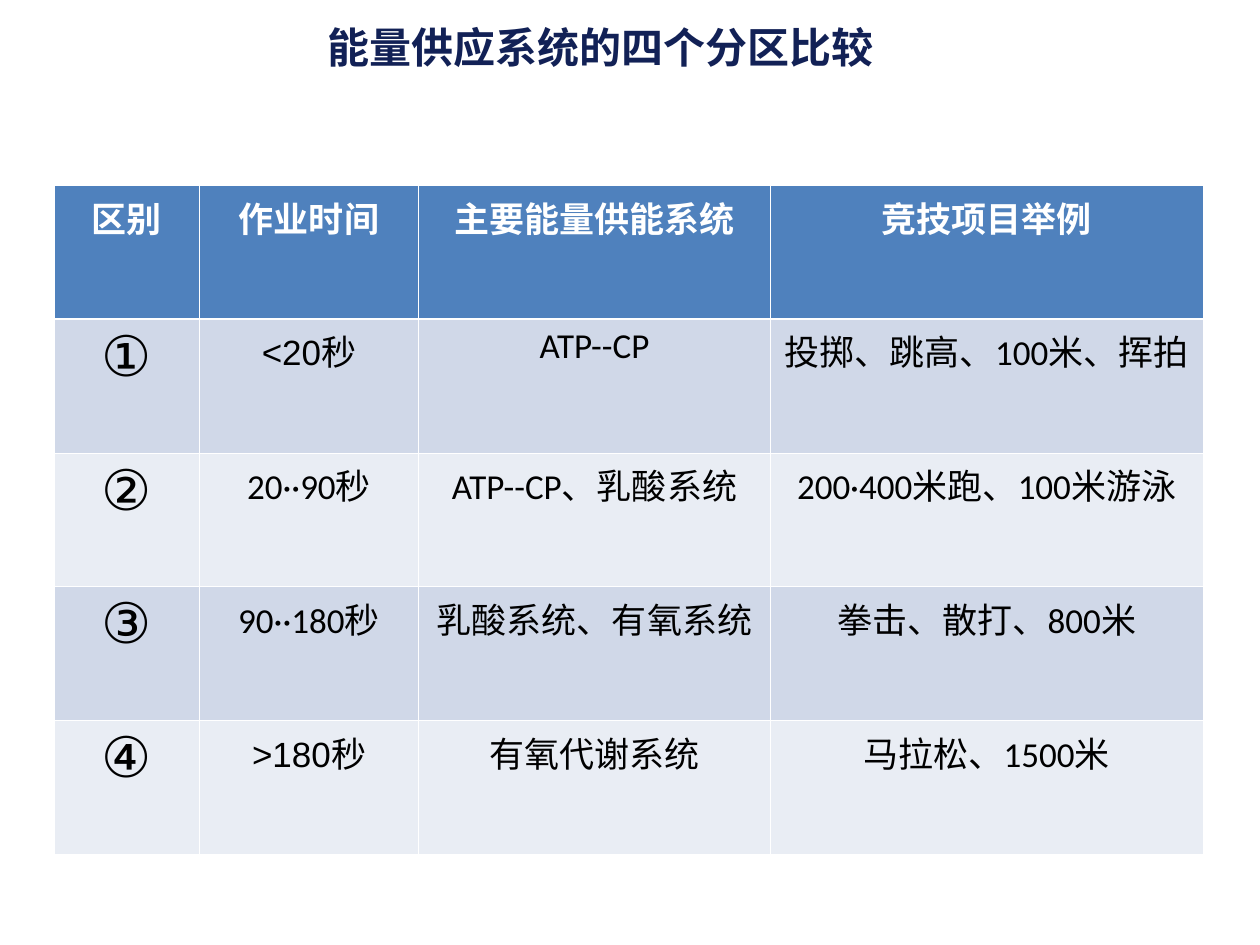
"""Build a slide that compares the four zones of energy supply."""
from dataclasses import dataclass

from lxml import etree
from pptx import Presentation
from pptx.dml.color import RGBColor
from pptx.enum.text import MSO_ANCHOR, MSO_AUTO_SIZE, PP_ALIGN
from pptx.oxml.ns import qn
from pptx.util import Cm, Pt

MIDDLE, TOP = MSO_ANCHOR.MIDDLE, MSO_ANCHOR.TOP
CENTER = PP_ALIGN.CENTER
NO_FIT = MSO_AUTO_SIZE.NONE

NAVY = RGBColor(0x12, 0x21, 0x56)
BLUE = RGBColor(0x4F, 0x81, 0xBD)
BAND = RGBColor(0xD0, 0xD8, 0xE8)
PALE = RGBColor(0xE9, 0xED, 0xF4)
WHITE = RGBColor(0xFF, 0xFF, 0xFF)
BLACK = RGBColor(0, 0, 0)

ARIAL, LATIN, HAN = "Arial", "Calibri", "Noto Sans CJK SC"
THIN, THICK = Pt(0.45), Pt(1.47)
ROW = Cm(2.7)


@dataclass
class Column:
    head: str
    width: float


@dataclass
class Zone:
    mark: str
    time: str
    system: str
    sports: str
    font: str = LATIN


COLUMNS = [
    Column("区别", 2.92),
    Column("作业时间", 4.42),
    Column("主要能量供能系统", 7.09),
    Column("竞技项目举例", 8.72),
]
ZONES = [
    Zone("①", "<20秒", "ATP--CP", "投掷、跳高、100米、挥拍", ARIAL),
    Zone("②", "20··90秒", "ATP--CP、乳酸系统", "200·400米跑、100米游泳"),
    Zone("③", "90··180秒", "乳酸系统、有氧系统", "拳击、散打、800米"),
    Zone("④", ">180秒", "有氧代谢系统", "马拉松、1500米", ARIAL),
]


def write(frame, text: str, *, size: float = 20, font: str = LATIN,
          color: RGBColor = BLACK, bold: bool = False) -> None:
    """Put one centred, formatted line into a text frame."""
    para = frame.paragraphs[0]
    para.alignment = CENTER
    run = para.add_run()
    run.text = text
    run.font.size, run.font.bold = Pt(size), bold
    run.font.color.rgb = color
    run.font.name = font
    etree.SubElement(run.font._element, qn("a:ea"), typeface=HAN)


def edge(cell, side: str, width: int) -> None:
    """Draw one white border of a cell."""
    line = etree.SubElement(cell._tc.get_or_add_tcPr(), qn(f"a:ln{side}"), w=str(width))
    fill = etree.SubElement(line, qn("a:solidFill"))
    etree.SubElement(fill, qn("a:srgbClr"), val=str(WHITE))


def fill_row(table, row: int, texts: list[str], styles: list[dict], back: RGBColor) -> None:
    """Fill a table row with text, borders and a back colour."""
    sides = {"L": THIN, "R": THIN,
             "T": THICK if row == 1 else THIN,
             "B": THICK if row == 0 else THIN}
    table.rows[row].height = ROW
    for col, (text, style) in enumerate(zip(texts, styles)):
        cell = table.cell(row, col)
        cell.vertical_anchor = TOP
        for side, width in sides.items():
            edge(cell, side, width)
        cell.fill.solid()
        cell.fill.fore_color.rgb = back
        write(cell.text_frame, text, **style)


def add_title(slide, text: str) -> None:
    """Place and fill the title."""
    title = slide.shapes.title
    title.left, title.top, title.width, title.height = Cm(0.3), Cm(0.25), Cm(23.6), Cm(1.37)
    frame = title.text_frame
    frame.auto_size, frame.vertical_anchor = NO_FIT, MIDDLE
    write(frame, text, size=24, font=HAN, color=NAVY, bold=True)


def add_grid(slide) -> None:
    """Add the table of zones."""
    rows, cols = len(ZONES) + 1, len(COLUMNS)
    width = Cm(sum(c.width for c in COLUMNS))
    table = slide.shapes.add_table(rows, cols, Cm(1.1), Cm(3.73), width, ROW * rows).table
    for slot, item in zip(table.columns, COLUMNS):
        slot.width = Cm(item.width)
    head = {"color": WHITE, "bold": True}
    fill_row(table, 0, [c.head for c in COLUMNS], [head] * cols, BLUE)
    for row, zone in enumerate(ZONES, 1):
        texts = [zone.mark, zone.time, zone.system, zone.sports]
        styles = [{"size": 32, "font": ARIAL}, {"font": zone.font}, {}, {}]
        fill_row(table, row, texts, styles, BAND if row % 2 else PALE)


def main() -> None:
    """Build and save the deck."""
    deck = Presentation()
    deck.slide_width, deck.slide_height = Cm(25.4), Cm(19.05)
    slide = deck.slides.add_slide(deck.slide_layouts[5])
    add_title(slide, "能量供应系统的四个分区比较")
    add_grid(slide)
    deck.save("out.pptx")


if __name__ == "__main__":
    main()
